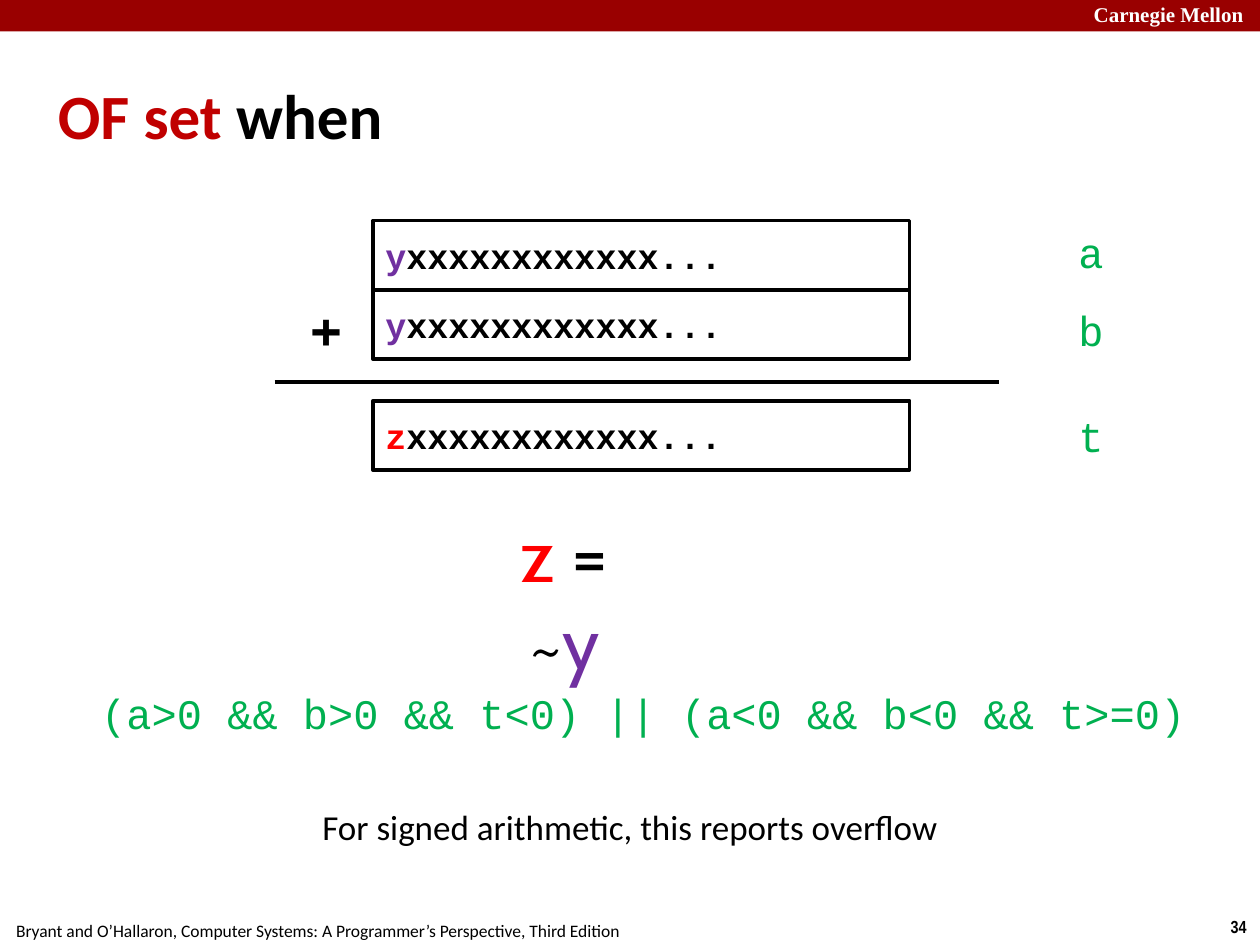
"""Build the slide that explains when the overflow flag is set."""
from lxml.etree import SubElement
from pptx import Presentation
from pptx.dml.color import RGBColor
from pptx.enum.shapes import MSO_CONNECTOR, MSO_SHAPE
from pptx.enum.text import MSO_ANCHOR, PP_ALIGN
from pptx.oxml.ns import qn
from pptx.util import Pt

BLACK, WHITE, GREEN = "000000", "FFFFFF", "00B050"
CRIMSON, RED, PURPLE, BANNER = "C00000", "FF0000", "7030A0", "990000"
MONO, SANS, SYMBOL = "Courier New", "Calibri", "Cabin"

TITLE = [("OF set ", CRIMSON), ("when", BLACK)]
RELATION = [("z", RED), (" = ~", BLACK), ("y", PURPLE)]
CONDITION = "(a>0 && b>0 && t<0) || (a<0 && b<0 && t>=0)"
MEANING = "For signed arithmetic, this reports overflow"
SOURCE = "Bryant and O’Hallaron, Computer Systems: A Programmer’s Perspective, Third Edition"
UNIVERSITY = "Carnegie Mellon"
PAGE = "34"
LOW_BITS = "xxxxxxxxxxxx..."
OPERANDS = [
    ("y", PURPLE, 126, "a", 126),
    ("y", PURPLE, 165.6, "b", 170.6),
    ("z", RED, 229, "t", 231.1),
]
REGISTER_LEFT, REGISTER_WIDTH, REGISTER_HEIGHT = 213.1, 306.7, 39.6


def rgb(hex_code):
    """Turn a hex string into a colour."""
    return RGBColor.from_string(hex_code)


def write(frame, text, size, font=SANS, color=BLACK, bold=False, align=PP_ALIGN.CENTER,
          anchor=MSO_ANCHOR.TOP, insets=(7.2, 3.6, 7.2, 3.6), wrap=True):
    """Fill a frame with a string or with (text, colour) runs."""
    frame.word_wrap = wrap
    frame.vertical_anchor = anchor
    frame.margin_left, frame.margin_top, frame.margin_right, frame.margin_bottom = map(Pt, insets)
    paragraph = frame.paragraphs[0]
    paragraph.alignment = align
    for words, run_color in [(text, color)] if isinstance(text, str) else text:
        run = paragraph.add_run()
        run.text = words
        run.font.size, run.font.name, run.font.bold = Pt(size), font, bold
        run.font.color.rgb = rgb(run_color)


def label(slide, box, text, size, **style):
    """Add a text box."""
    write(slide.shapes.add_textbox(*map(Pt, box)).text_frame, text, size, **style)


def rectangle(slide, box, fill=None, line=None):
    """Add a rectangle with an optional fill and outline."""
    shape = slide.shapes.add_shape(MSO_SHAPE.RECTANGLE, *map(Pt, box))
    shape.shadow.inherit = False
    if fill:
        shape.fill.solid()
        shape.fill.fore_color.rgb = rgb(fill)
    else:
        shape.fill.background()
    if line:
        shape.line.color.rgb = rgb(line)
        shape.line.width = Pt(2)
    else:
        shape.line.fill.background()
    return shape


def sum_line(slide, left, right, y):
    """Draw the rule above the sum."""
    rule = slide.shapes.add_connector(MSO_CONNECTOR.STRAIGHT, Pt(left), Pt(y), Pt(right), Pt(y))
    rule.line.color.rgb = rgb(BLACK)
    rule.line.width = Pt(2)
    SubElement(rule._element.spPr, qn("a:effectLst"))


def main():
    """Lay out the slide and save it."""
    deck = Presentation()
    deck.slide_width, deck.slide_height = Pt(720), Pt(540)
    slide = deck.slides.add_slide(deck.slide_layouts[6])
    tight = (2.9, 2.9, 2.9, 2.9)

    label(slide, (695.5, 519.8, 24.5, 19.4), PAGE, 10, font="Arial Narrow", bold=True, wrap=False)
    label(slide, (-1.4, 522, 365.8, 19.4), SOURCE, 10, wrap=False)
    rectangle(slide, (0, 0, 720.7, 18), fill=BANNER)
    label(slide, (622.1, -2.2, 103.7, 20.2), UNIVERSITY, 12, font="Times New Roman",
          color=WHITE, bold=True, align=PP_ALIGN.LEFT, insets=tight)
    label(slide, (30.2, 20.2, 660.2, 90), TITLE, 36, bold=True, align=PP_ALIGN.LEFT,
          anchor=MSO_ANCHOR.MIDDLE, insets=tight)

    for sign_bit, color, top, name, name_top in OPERANDS:
        register = rectangle(slide, (REGISTER_LEFT, top, REGISTER_WIDTH, REGISTER_HEIGHT), line=BLACK)
        write(register.text_frame, [(sign_bit, color), (LOW_BITS, BLACK)], 20, font=MONO,
              bold=True, align=PP_ALIGN.LEFT, anchor=MSO_ANCHOR.MIDDLE)
        label(slide, (609.1, name_top, 28.8, 36), name, 24, font=MONO, color=GREEN, wrap=False)

    sum_line(slide, 157, 571, 218.2)
    label(slide, (168.5, 156.2, 36, 58.3), "+", 42, font=SYMBOL)
    label(slide, (290.2, 287.3, 111.6, 58.3), RELATION, 42, font=SYMBOL,
          insets=(3.6, 3.6, 50.4, 3.6))
    label(slide, (175, 456.5, 370, 31.7), MEANING, 20, wrap=False)
    label(slide, (-5.8, 389.5, 696.2, 36), CONDITION, 24, font=MONO, color=GREEN,
          insets=(57.6, 3.6, 7.2, 3.6))
    deck.save("out.pptx")


if __name__ == "__main__":
    main()
